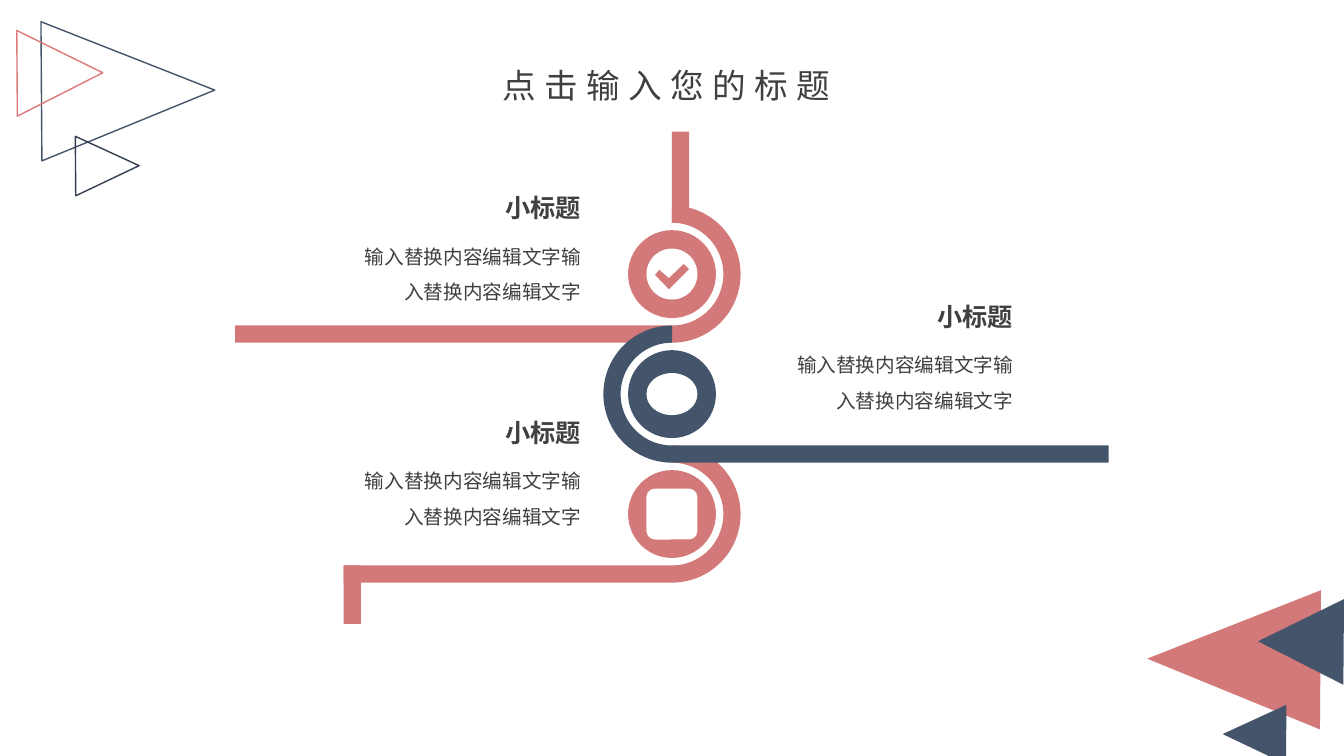
import math

from lxml import etree
from pptx import Presentation
from pptx.dml.color import RGBColor
from pptx.enum import shapes, text
from pptx.oxml import ns
from pptx.util import Pt

CORAL, NAVY, WHITE, INK = "D37979", "44546A", "FFFFFF", "404040"
FONT = "Noto Sans CJK SC"
AXIS = 480
OUTER, INNER, DISC = 49, 36.7, 31.4
BAND = OUTER - INNER
CENTRES = [195.8 + i * (OUTER + INNER) for i in range(3)]

BODY = "输入替换内容编辑文字输入替换内容编辑文字"
ITEMS = [(248, 163), (556.6, 240.5), (248, 323.3)]
CHECK = [(-12.2, 0.5), (-9, -3), (-2.2, 2.9), (8.3, -7.2), (12.2, -3.6), (-2.2, 10.8)]

# left, top, width, height, rotation, fill, line
TRIANGLES = [
    (831.6, 409, 99.4, 123.8, 270.4, CORAL, None),
    (874.8, 501.8, 42.5, 45.4, 270.4, NAVY, None),
    (898.6, 427.7, 61.2, 61.2, 270.4, NAVY, None),
    (41.8, 2.9, 99.4, 123.8, 89.6, None, NAVY),
    (55.4, 95.8, 42.5, 45.4, 89.6, None, "333F50"),
    (12.2, 21.6, 61.2, 61.2, 89.6, None, "DD7979"),
]


def rgb(value):
    return RGBColor.from_string(value)


def paint(sp, fill, line=None):
    sp.shadow.inherit = False
    if fill:
        sp.fill.solid()
        sp.fill.fore_color.rgb = rgb(fill)
    else:
        sp.fill.background()
    if line:
        sp.line.color.rgb = rgb(line)
        sp.line.width = Pt(1)
    else:
        sp.line.fill.background()


def add_preset(s, kind, left, top, width, height, fill, line=None):
    sp = s.shapes.add_shape(kind, Pt(left), Pt(top), Pt(width), Pt(height))
    paint(sp, fill, line)
    return sp


def add_bar(s, left, top, width, height, fill):
    return add_preset(s, shapes.MSO_SHAPE.RECTANGLE, left, top, width, height, fill)


def add_centred(s, kind, cy, width, height, fill):
    """Place a preset shape on the vertical axis, centred at height cy."""
    return add_preset(s, kind, AXIS - width / 2, cy - height / 2, width, height, fill)


def add_polygon(s, points, fill):
    corners = [(Pt(x), Pt(y)) for x, y in points]
    builder = s.shapes.build_freeform(*corners[0])
    builder.add_line_segments(corners[1:], close=True)
    paint(builder.convert_to_shape(), fill)


def add_half_ring(s, cy, side, fill):
    """Draw half a ring round the axis; side is 1 for right, -1 for left."""
    angles = [math.radians(a) for a in range(-90, 91, 3)]

    def arc(radius):
        return [(AXIS + side * radius * math.cos(a), cy + radius * math.sin(a))
                for a in angles]

    add_polygon(s, arc(OUTER) + arc(INNER)[::-1], fill)


def write(sp, content, size, align, bold=False, spacing=1.0, tracking=None, **frame):
    """Set the single run of a text shape; frame holds text frame attributes."""
    tf = sp.text_frame
    for name, value in frame.items():
        setattr(tf, name, value)
    p = tf.paragraphs[0]
    p.alignment, p.line_spacing = align, spacing
    r = p.add_run()
    r.text = content
    for name, value in {"name": FONT, "size": Pt(size), "bold": bold}.items():
        setattr(r.font, name, value)
    r.font.color.rgb = rgb(INK)
    props = r._r.get_or_add_rPr()
    etree.SubElement(props, ns.qn("a:ea"), typeface=FONT)
    if tracking:
        props.set("spc", str(tracking * 100))


def add_title(s):
    title = s.shapes.title
    box = {"left": 329, "top": 46, "width": 294.5, "height": 28.8}
    for name, value in box.items():
        setattr(title, name, Pt(value))
    write(title, "点击输入您的标题", 24, text.PP_ALIGN.CENTER, tracking=6,
          word_wrap=True, auto_size=text.MSO_AUTO_SIZE.NONE,
          vertical_anchor=text.MSO_ANCHOR.MIDDLE,
          margin_left=0, margin_right=0, margin_top=0, margin_bottom=0)


def add_item(s, left, top):
    fit = text.MSO_AUTO_SIZE.SHAPE_TO_FIT_TEXT
    right = text.PP_ALIGN.RIGHT
    body = s.shapes.add_textbox(Pt(left), Pt(top), Pt(174.2), Pt(55.4))
    write(body, BODY, 14, right, spacing=1.5, word_wrap=True, auto_size=fit)
    heading = s.shapes.add_textbox(Pt(left + 105), Pt(top - 29), Pt(69.2), Pt(29))
    write(heading, "小标题", 18, right, bold=True, word_wrap=False, auto_size=fit)


def add_road(s):
    first, second, third = CENTRES
    kinds = shapes.MSO_SHAPE
    add_bar(s, 168, first + INNER, AXIS - 168, BAND, CORAL)
    add_bar(s, AXIS, 94, BAND, 65, CORAL)
    add_bar(s, 245.5, third + INNER, AXIS - 245.5, BAND, CORAL)
    add_bar(s, 245.5, third + INNER, BAND, 41.8, CORAL)
    for cy, side, fill in ((first, 1, CORAL), (third, 1, CORAL), (second, -1, NAVY)):
        add_half_ring(s, cy, side, fill)
        add_centred(s, kinds.OVAL, cy, 2 * DISC, 2 * DISC, fill)
    add_bar(s, AXIS, second + INNER, 312, BAND, NAVY)

    add_centred(s, kinds.OVAL, first, 36.4, 36.4, WHITE)
    add_polygon(s, [(AXIS + x, first + y) for x, y in CHECK], CORAL)
    add_centred(s, kinds.OVAL, second, 36.4, 30, WHITE)
    add_centred(s, kinds.ROUNDED_RECTANGLE, third, 36.4, 36.4, WHITE)


def main():
    prs = Presentation()
    prs.slide_width, prs.slide_height = Pt(960), Pt(540)
    s = prs.slides.add_slide(prs.slide_layouts[5])
    for left, top, width, height, rotation, fill, line in TRIANGLES:
        sp = add_preset(s, shapes.MSO_SHAPE.ISOSCELES_TRIANGLE,
                        left, top, width, height, fill, line)
        sp.rotation = rotation
    add_road(s)
    for left, top in ITEMS:
        add_item(s, left, top)
    add_title(s)
    prs.save("out.pptx")


if __name__ == "__main__":
    main()
